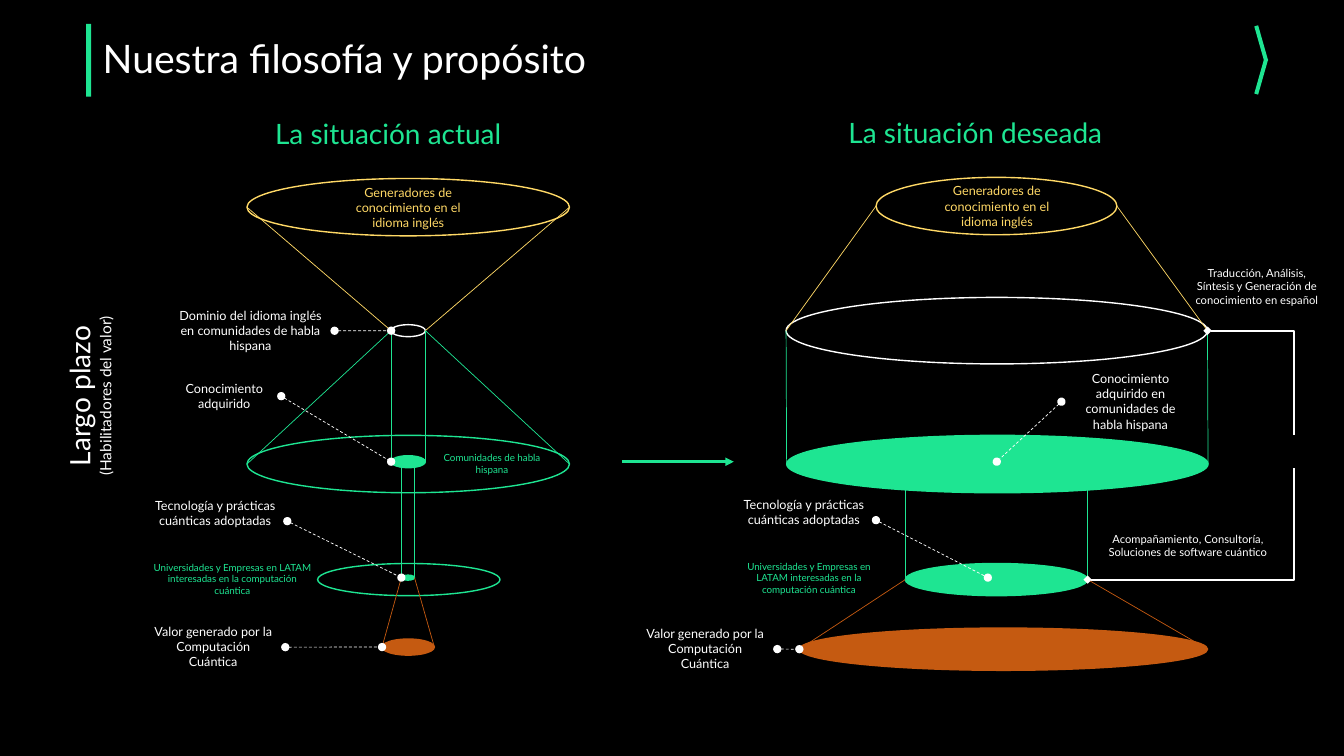
from pptx import Presentation
from pptx.dml.color import RGBColor
from pptx.enum.dml import MSO_LINE
from pptx.enum.shapes import MSO_CONNECTOR as LINK, MSO_SHAPE as SHAPE
from pptx.enum.text import MSO_ANCHOR as ANCHOR, PP_ALIGN as ALIGN
from pptx.oxml.ns import qn
from pptx.util import Pt
from lxml import etree

GREEN, GOLD, ORANGE, WHITE, BLACK = "1EE592", "FFD966", "C55A11", "FFFFFF", "000000"

# Content: all positions and sizes in points
TITLE = "Nuestra filosofía y propósito"
GENERATORS = "Generadores de conocimiento en el idioma inglés"
COMPANIES = "Universidades y Empresas en LATAM interesadas en la computación cuántica"
TECHNOLOGY = "Tecnología y prácticas cuánticas adoptadas"
VALUE = "Valor generado por la Computación Cuántica"

# Disks: name -> (centre x, centre y, width, height, colour, filled)
CURRENT_DISKS = {
    "generators": (291.6, 148, 230.4, 41, GOLD, False),
    "community": (291.6, 331.5, 230.4, 41, GREEN, False),
    "language": (291.6, 236.2, 24.5, 8.6, WHITE, False),
    "acquired": (291.6, 329.8, 24.5, 8.6, GREEN, True),
    "companies": (292, 414, 130.3, 23, GREEN, False),
    "adopted": (291.4, 412.6, 9.4, 3.6, GREEN, True),
    "value": (291.6, 462.2, 37.4, 11.5, ORANGE, True),
}
DESIRED_DISKS = {
    "generators": (711.8, 147.2, 172, 41, GOLD, False),
    "community": (712.4, 331.5, 301, 41, GREEN, True),
    "language": (712, 236.2, 301, 47.5, WHITE, False),
    "companies": (711.8, 414, 130.3, 23, GREEN, True),
    "value": (716.8, 463.7, 291.6, 30.2, ORANGE, True),
}
# Sides joining two disks: (upper, lower, colour, vertical)
CURRENT_SIDES = [
    ("generators", "language", GOLD, False),
    ("language", "community", GREEN, False),
    ("language", "acquired", GREEN, False),
    ("acquired", "adopted", GREEN, True),
    ("adopted", "value", ORANGE, False),
]
DESIRED_SIDES = [
    ("generators", "language", GOLD, False),
    ("language", "community", GREEN, False),
    ("community", "companies", GREEN, True),
    ("companies", "value", ORANGE, False),
]
# Labels: (text, box, size, colour, end of the dashed leader)
LABELS = [
    (GENERATORS, (241.2, 128.2, 100.8, 40.3), 9, GOLD, None),
    ("Comunidades de habla hispana", (301, 319, 100.8, 24.5), 7, GREEN, None),
    ("Dominio del idioma inglés en comunidades de habla hispana",
     (118.8, 216.1, 120.2, 40.3), 9, WHITE, (279.4, 236.2)),
    ("Conocimiento adquirido", (119.5, 268.6, 81.4, 28.8), 9, WHITE, (279.4, 329.8)),
    (COMPANIES, (100.8, 397.4, 130.3, 32.4), 7, GREEN, None),
    (TECHNOLOGY, (102.2, 352.1, 103, 40.3), 9, WHITE, (286.7, 412.6)),
    (VALUE, (100.8, 442.1, 103, 40.3), 9, WHITE, (272.9, 462.2)),
    (GENERATORS, (661.7, 127.4, 100.8, 40.3), 9, GOLD, None),
    ("Conocimiento adquirido en comunidades de habla hispana",
     (758.2, 261.4, 98.6, 51.1), 9, WHITE, (712, 329.8)),
    (COMPANIES, (522, 396.7, 111.6, 32.4), 7, GREEN, None),
    (TECHNOLOGY, (522.7, 351.4, 103, 40.3), 9, WHITE, (705.6, 412.6)),
    (VALUE, (452.2, 443.5, 103, 40.3), 9, WHITE, (571, 463.7)),
    ("Traducción, Análisis, Síntesis y Generación de conocimiento en español",
     (845.3, 186.5, 105.1, 46), 8, WHITE, None),
    ("Acompañamiento, Consultoría, Soluciones de software cuántico",
     (783.4, 376.6, 130.3, 36), 8, WHITE, None),
]
HEADINGS = [
    ("La situación actual", (189.4, 79.9, 204.5, 31.7)),
    ("La situación deseada", (599, 79.2, 226.8, 31.7)),
]
HORIZON = [("Largo plazo", 20), ("(Habilitadores del valor)", 11)]
# Header bars: (left, top, width, height, rotation)
BARS = [
    (61.6, 17, 3.6, 52, 0),
    (887.8, 29.5, 26, 2.9, 74.1),
    (887.8, 53.3, 26, 2.9, 105.9),
]
# Elbows from a disk edge to the service bracket: (start, end)
ELBOWS = [((862.6, 236.2), (924.5, 311)), ((776.9, 414), (924.5, 334.1))]


def rgb(code):
    return RGBColor.from_string(code)


def points(*values):
    return [Pt(value) for value in values]


def add_figure(kind, box, color, filled=True, outline=0, rotation=0):
    figure = slide.shapes.add_shape(kind, *points(*box))
    figure.shadow.inherit = False
    figure.rotation = rotation
    if filled:
        figure.fill.solid()
        figure.fill.fore_color.rgb = rgb(color)
    else:
        figure.fill.background()
    if outline:
        figure.line.color.rgb = rgb(color)
        figure.line.width = Pt(outline)
    else:
        figure.line.fill.background()


def add_line(start, end, color, width=0.5, dashed=False, head=None, tail=None, elbow=False):
    kind = LINK.ELBOW if elbow else LINK.STRAIGHT
    line = slide.shapes.add_connector(kind, *points(*start, *end))
    line.line.color.rgb = rgb(color)
    line.line.width = Pt(width)
    if dashed:
        line.line.dash_style = MSO_LINE.DASH
    properties = line.element.spPr
    if elbow:
        properties.find(qn("a:prstGeom")).set("prst", "bentConnector2")
    for tag, form in (("a:headEnd", head), ("a:tailEnd", tail)):
        if form:
            etree.SubElement(properties.find(qn("a:ln")), qn(tag)).set("type", form)
    etree.SubElement(properties, qn("a:effectLst"))


def write(para, text, size, color, align):
    para.alignment = align
    span = para.add_run()
    span.text = text
    style = {"name": "Lato", "size": Pt(size), "bold": False}
    for key, value in style.items():
        setattr(span.font, key, value)
    span.font.color.rgb = rgb(color)


def add_text(lines, box, color, align=ALIGN.CENTER, rotation=0):
    holder = slide.shapes.add_textbox(*points(*box))
    holder.rotation = rotation
    frame = holder.text_frame
    frame.word_wrap = True
    for index, (text, size) in enumerate(lines):
        para = frame.add_paragraph() if index else frame.paragraphs[0]
        write(para, text, size, color, align)


def add_cones(disks, sides):
    for x, y, width, height, color, filled in disks.values():
        box = (x - width / 2, y - height / 2, width, height)
        add_figure(SHAPE.OVAL, box, color, filled, outline=1)
    for upper, lower, color, vertical in sides:
        top_x, top_y, top_width = disks[upper][:3]
        low_x, low_y, low_width = disks[lower][:3]
        for side in (-0.5, 0.5):
            end_x = low_x + side * low_width
            start_x = end_x if vertical else top_x + side * top_width
            add_line((start_x, top_y), (end_x, low_y), color)


# Page
deck = Presentation()
deck.slide_width, deck.slide_height = points(960, 540)
slide = deck.slides.add_slide(deck.slide_layouts[5])
slide.background.fill.solid()
slide.background.fill.fore_color.rgb = rgb(BLACK)

# Header
for *bar, angle in BARS:
    add_figure(SHAPE.RECTANGLE, bar, GREEN, rotation=angle)
title = slide.shapes.title
title.left, title.top, title.width, title.height = points(66.2, 17.3, 828, 51.8)
title.text_frame.vertical_anchor = ANCHOR.MIDDLE
title_para = title.text_frame.paragraphs[0]
title_para.line_spacing = 0.9
write(title_para, TITLE, 28, WHITE, ALIGN.LEFT)

# Both situations and the arrow between them
add_cones(CURRENT_DISKS, CURRENT_SIDES)
add_cones(DESIRED_DISKS, DESIRED_SIDES)
add_line((444.2, 329.8), (524.2, 329.8), GREEN, 2, tail="triangle")
for start, end in ELBOWS:
    add_line(start, end, WHITE, 1.5, head="diamond", elbow=True)

# Headings, side note and labels with leaders
for text, box in HEADINGS:
    add_text([(text, 20)], box, GREEN, ALIGN.LEFT)
add_text(HORIZON, (-9.4, 260.6, 145.4, 44.6), WHITE, rotation=270)
for text, box, size, color, target in LABELS:
    add_text([(text, size)], box, color)
    if target:
        left, top, width, height = box
        edge = left if target[0] < left else left + width
        add_line((edge, top + height / 2), target, WHITE, dashed=True, head="oval", tail="oval")

deck.save("out.pptx")
